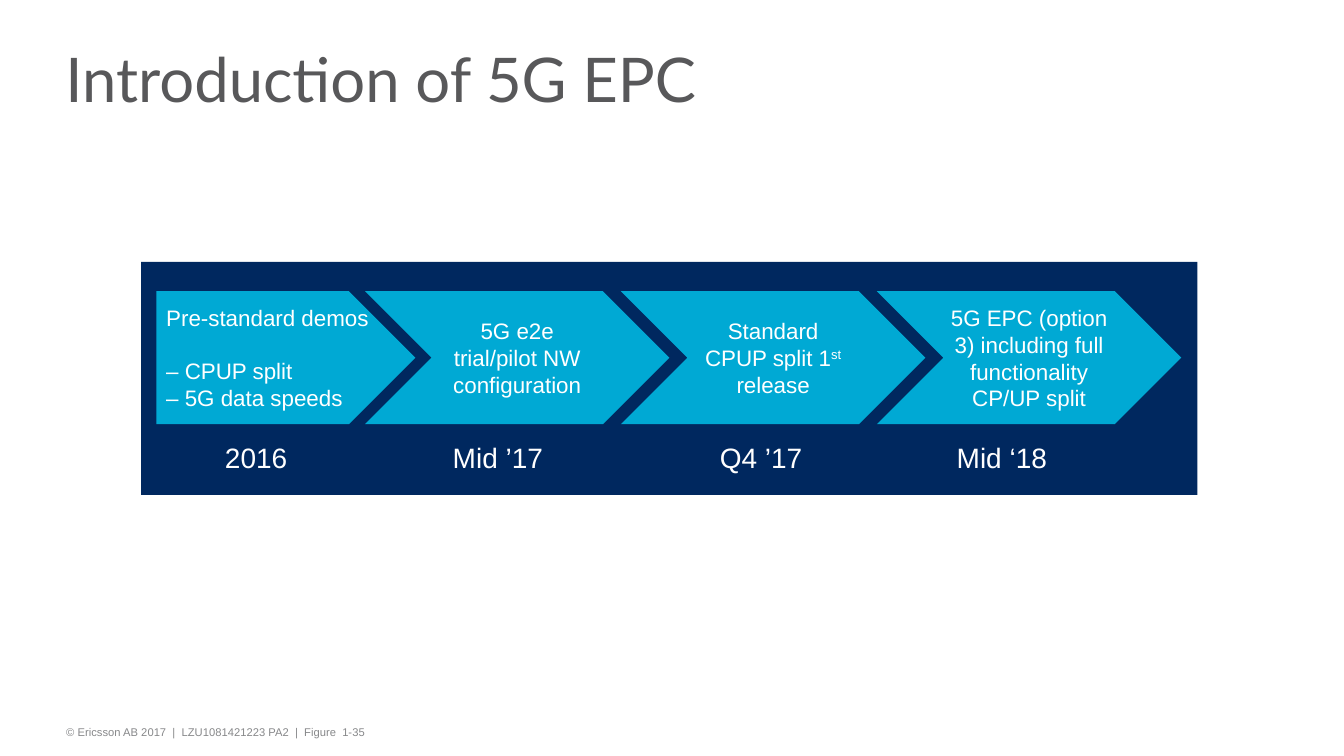
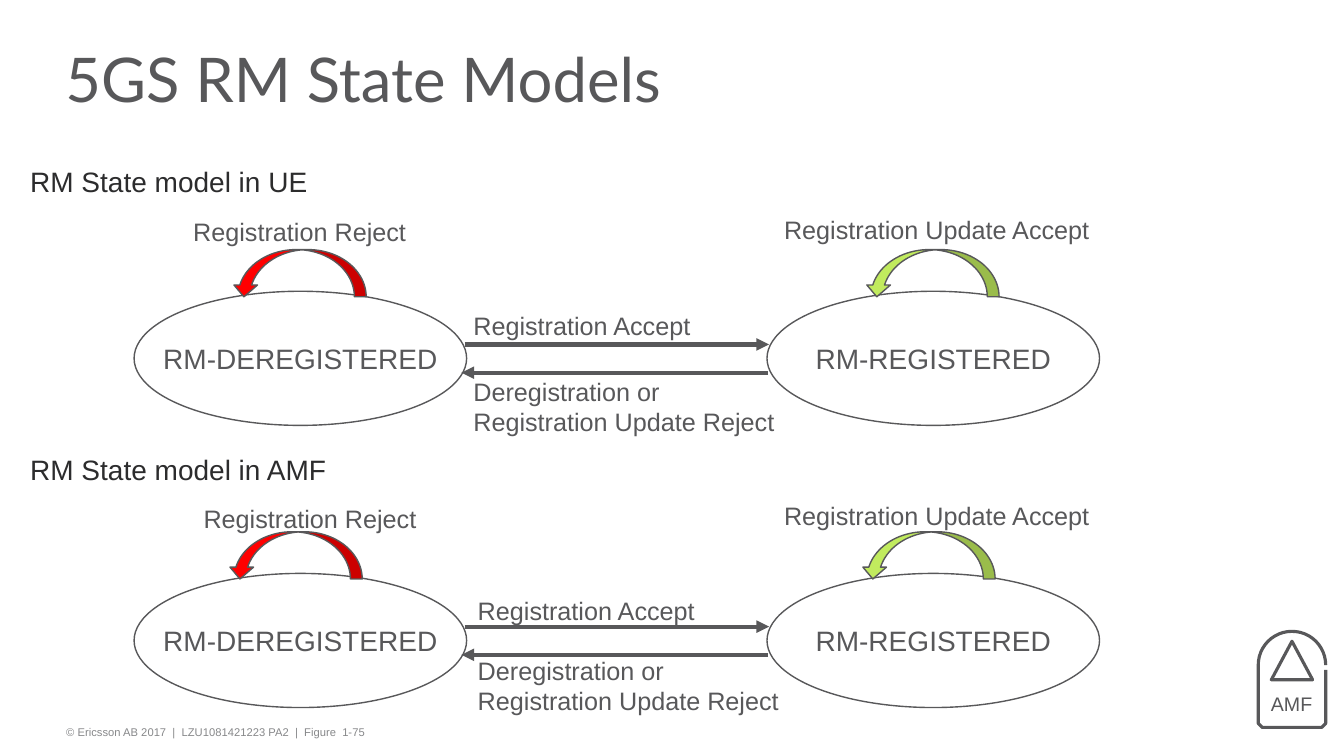
"""Build two slides: the 5G EPC introduction timeline and the RM state models."""
from dataclasses import dataclass
from math import cos, pi, sin
from typing import NamedTuple

from lxml.etree import SubElement
from pptx import Presentation
from pptx.dml.color import RGBColor
from pptx.enum.shapes import MSO_CONNECTOR, MSO_SHAPE
from pptx.enum.text import MSO_ANCHOR, PP_ALIGN
from pptx.oxml.ns import qn
from pptx.util import Cm, Pt

GREY, DARK, FOOTER_GREY, WHITE = "58585A", "2C2C2D", "87888A", "FFFFFF"
NAVY, CYAN, RED, LIME = "00285F", "00A9D4", "FF0000", "C1EB5E"


class Box(NamedTuple):
    left: float
    top: float
    width: float
    height: float

    def lengths(self):
        return [Cm(value) for value in self]


@dataclass(frozen=True)
class TextStyle:
    size: float
    color: str = GREY
    font: str = "Arial"
    align: PP_ALIGN = PP_ALIGN.LEFT
    anchor: MSO_ANCHOR = MSO_ANCHOR.TOP
    insets: tuple = (0.25, 0.13, 0.25, 0.13)
    wrap: bool = True
    line_spacing: float = 1.0
    gap_after_first: float = 0
    tabs: tuple = ()


@dataclass(frozen=True)
class Stage:
    text: str
    preset: MSO_SHAPE
    left: float
    width: float
    style: TextStyle


@dataclass(frozen=True)
class StateModel:
    heading: str
    heading_top: float
    ellipse_top: float
    loop_shift: float
    reject: tuple
    update: tuple
    accept: tuple
    deregister: tuple


CENTRED = {"align": PP_ALIGN.CENTER, "anchor": MSO_ANCHOR.MIDDLE}
TITLE = TextStyle(44, font="Lato", anchor=MSO_ANCHOR.MIDDLE, insets=(0.2, 0, 0.2, 0), line_spacing=0.75)
FOOTER = TextStyle(8, FOOTER_GREY, insets=(0.2, 0.13, 0.2, 0.13))
YEARS = TextStyle(20, WHITE, anchor=MSO_ANCHOR.BOTTOM, insets=(2.11, 0.13, 0.25, 0.51), tabs=(5.74, 12.47, 18.44))
FIRST_STAGE = TextStyle(16, WHITE, anchor=MSO_ANCHOR.MIDDLE, insets=(0.25, 0.13, 0, 0.13), gap_after_first=18.4)
STAGE = TextStyle(16, WHITE, **CENTRED)
LAST_STAGE = TextStyle(16, WHITE, insets=(0.1, 0.13, 0.1, 0.13), **CENTRED)
STATE = TextStyle(20, wrap=False, insets=(0.2, 0.13, 0.2, 0.13), **CENTRED)
HEADING = TextStyle(20, DARK, wrap=False)
LABEL = TextStyle(18, wrap=False)
ICON = TextStyle(14, insets=(0, 0, 0, 0), line_spacing=0.8, **CENTRED)

CHEVRON_LEFT, CHEVRON_PITCH, CHEVRON_WIDTH = 9.2, 6.45, 7.67
CHEVRONS = (
    ("5G e2e trial/pilot NW configuration", STAGE),
    ("Standard CPUP split 1^st^ release", STAGE),
    ("5G EPC (option 3) including full functionality CP/UP split", LAST_STAGE),
)
STAGES = [
    Stage("Pre-standard demos\n– CPUP split\n– 5G data speeds", MSO_SHAPE.PENTAGON, 3.94, 6.53, FIRST_STAGE)
] + [
    Stage(text, MSO_SHAPE.CHEVRON, CHEVRON_LEFT + index * CHEVRON_PITCH, CHEVRON_WIDTH, style)
    for index, (text, style) in enumerate(CHEVRONS)
]
STATES = (("RM-DEREGISTERED", 3.38, RED), ("RM-REGISTERED", 19.33, LIME))
MODELS = (
    StateModel("RM State model in UE", 4.01, 7.34, 0, (4.62, 5.31), (19.51, 5.26), (11.68, 7.7), (11.68, 9.35)),
    StateModel("RM State model in AMF", 11.28, 14.45, -0.1, (4.88, 12.55), (19.51, 12.47), (11.79, 14.86), (11.79, 16.38)),
)


def color(hex_value: str) -> RGBColor:
    """Turn a hex string into a colour."""
    return RGBColor.from_string(hex_value)


def apply(target, values: dict) -> None:
    """Set each named attribute on the target."""
    for name, value in values.items():
        setattr(target, name, value)


def write(shape, text: str, style: TextStyle) -> None:
    """Fill a shape with text; a part between carets is superscript."""
    frame = shape.text_frame
    left, top, right, bottom = (Cm(inset) for inset in style.insets)
    apply(frame, {"margin_left": left, "margin_top": top, "margin_right": right, "margin_bottom": bottom,
                  "word_wrap": style.wrap, "vertical_anchor": style.anchor})
    for index, line in enumerate(text.split("\n")):
        paragraph = frame.add_paragraph() if index else frame.paragraphs[0]
        gap = style.gap_after_first if index == 1 else 0
        apply(paragraph, {"alignment": style.align, "line_spacing": style.line_spacing, "space_before": Pt(gap)})
        if style.tabs:
            tab_list = SubElement(paragraph._p.get_or_add_pPr(), qn("a:tabLst"))
            for position in style.tabs:
                SubElement(tab_list, qn("a:tab"), pos=str(Cm(position)), algn="l")
        for part, piece in enumerate(line.split("^")):
            run = paragraph.add_run()
            run.text = piece
            apply(run.font, {"size": Pt(style.size), "name": style.font})
            run.font.color.rgb = color(style.color)
            if part % 2:
                run.font._element.set("baseline", "30000")


def paint(shape, fill: str = "", line: str = "", width: float = 1) -> None:
    """Set the fill and outline of a shape, without shadow."""
    shape.shadow.inherit = False
    if fill:
        shape.fill.solid()
        shape.fill.fore_color.rgb = color(fill)
    else:
        shape.fill.background()
    if line:
        shape.line.color.rgb = color(line)
        shape.line.width = Pt(width)
    else:
        shape.line.fill.background()


def add_text(slide, box: Box, text: str, style: TextStyle) -> None:
    """Add a text box."""
    write(slide.shapes.add_textbox(*box.lengths()), text, style)


def add_preset(slide, preset: MSO_SHAPE, box: Box, fill: str = "", line: str = ""):
    """Add a painted preset shape."""
    shape = slide.shapes.add_shape(preset, *box.lengths())
    paint(shape, fill, line)
    return shape


def add_arrow(slide, start: float, end: float, height: float) -> None:
    """Add a horizontal arrow."""
    connector = slide.shapes.add_connector(MSO_CONNECTOR.STRAIGHT, Cm(start), Cm(height), Cm(end), Cm(height))
    connector.line.color.rgb = color(GREY)
    connector.line.width = Pt(3)
    SubElement(connector.line._get_or_add_ln(), qn("a:tailEnd"), type="triangle")
    SubElement(connector._element.spPr, qn("a:effectLst"))


def add_outline(slide, points: list, close: bool) -> None:
    """Draw an unfilled outline through the points."""
    first, *others = [(Cm(x), Cm(y)) for x, y in points]
    builder = slide.shapes.build_freeform(*first)
    builder.add_line_segments(others, close=close)
    paint(builder.convert_to_shape(), line=GREY, width=2.25)


def add_slide(presentation, title: str, figure: str):
    """Add a blank slide with the shared title and footer."""
    slide = presentation.slides.add_slide(presentation.slide_layouts[6])
    add_text(slide, Box(1.47, 18.14, 27.41, 0.61), f"© Ericsson AB 2017  |  LZU1081421223 PA2  |  Figure  {figure}", FOOTER)
    add_text(slide, Box(1.45, 0.66, 27.76, 3.02), title, TITLE)
    return slide


def draw_timeline(slide) -> None:
    """Draw the panel with its stages and dates."""
    panel = add_preset(slide, MSO_SHAPE.RECTANGLE, Box(3.56, 6.6, 26.62, 5.87), NAVY)
    write(panel, "2016\tMid ’17\tQ4 ’17\tMid ‘18", YEARS)
    for stage in STAGES:
        shape = add_preset(slide, stage.preset, Box(stage.left, 7.34, stage.width, 3.35), CYAN)
        write(shape, stage.text, stage.style)


def draw_model(slide, model: StateModel) -> None:
    """Draw one state model with its states, transitions and labels."""
    top = model.ellipse_top
    for name, left, fill in STATES:
        write(add_preset(slide, MSO_SHAPE.OVAL, Box(left, top, 8.38, 3.38), line=GREY), name, STATE)
        loop_box = Box(left + 2.47 + model.loop_shift, top - 1.05, 3.38, 1.19)
        loop = add_preset(slide, MSO_SHAPE.CURVED_DOWN_ARROW, loop_box, fill, GREY)
        loop._element.spPr.find(qn("a:xfrm")).set("flipH", "1")
    add_arrow(slide, 11.71, 19.38, top + 1.34)
    add_arrow(slide, 19.36, 11.63, top + 2.05)
    add_text(slide, Box(0.51, model.heading_top, 8, 1.11), model.heading, HEADING)
    for text, place, width, height in (
        ("Registration Reject", model.reject, 5.92, 1.03),
        ("Registration Update Accept", model.update, 8.28, 1.03),
        ("Registration Accept", model.accept, 6, 1.03),
        ("Deregistration or\nRegistration Update Reject", model.deregister, 8.18, 1.8),
    ):
        add_text(slide, Box(*place, width, height), text, LABEL)


def draw_node_icon(slide) -> None:
    """Draw the arched AMF node symbol."""
    centre, radius, spring, bottom, corner = 32.56, 0.85, 16.76, 18.33, 0.1
    left, right = centre - radius, centre + radius
    arch = [(centre - radius * cos(pi * step / 24), spring - radius * sin(pi * step / 24)) for step in range(25)]
    base = [(right, 16.88), (right, bottom - corner), (right - corner, bottom),
            (left + corner, bottom), (left, bottom - corner)]
    add_outline(slide, base + arch, close=False)
    add_outline(slide, [(centre, 16.16), (centre - 0.52, 17.13), (centre + 0.52, 17.13)], close=True)
    add_text(slide, Box(31.75, 17.25, 1.6, 1.09), "AMF", ICON)


def main() -> None:
    """Build and save the presentation."""
    presentation = Presentation()
    apply(presentation, {"slide_width": Cm(33.87), "slide_height": Cm(19.05)})
    draw_timeline(add_slide(presentation, "Introduction of 5G EPC", "1-35"))
    state_slide = add_slide(presentation, "5GS RM State Models", "1-75")
    for model in MODELS:
        draw_model(state_slide, model)
    draw_node_icon(state_slide)
    presentation.save("out.pptx")


if __name__ == "__main__":
    main()
